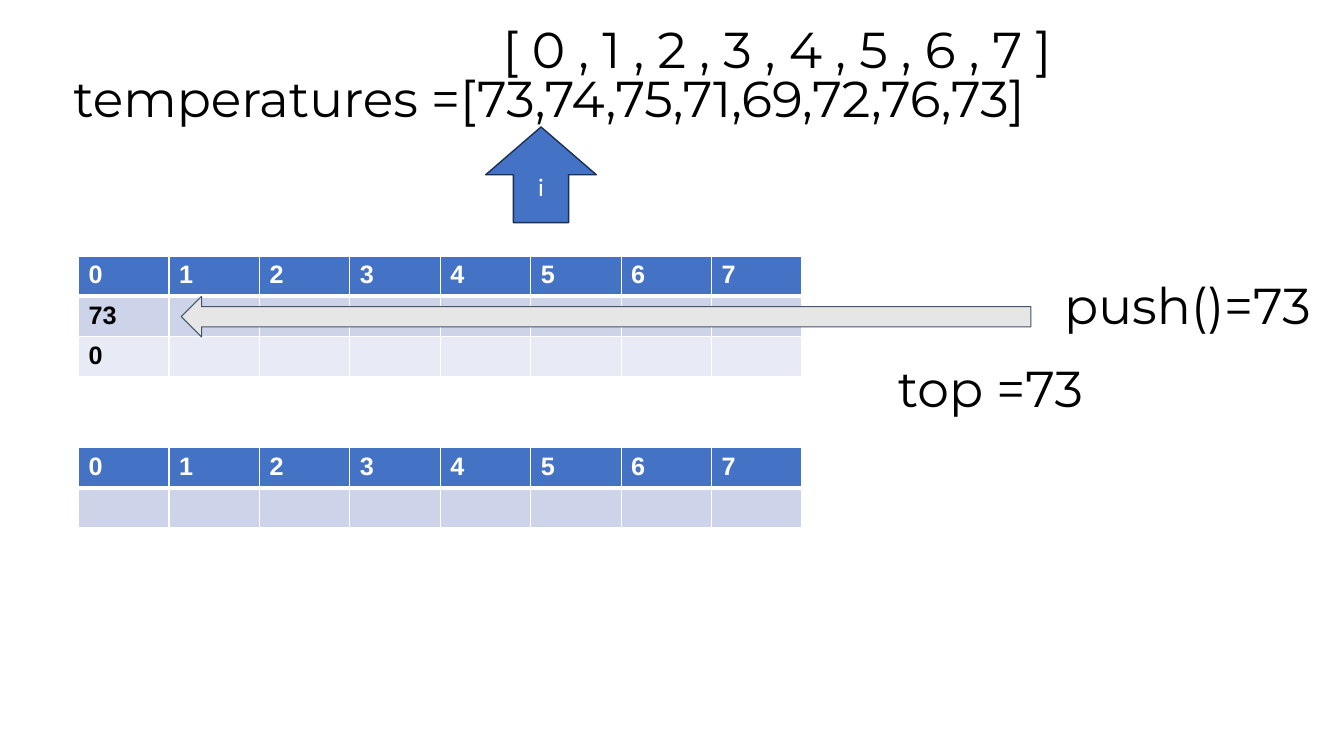
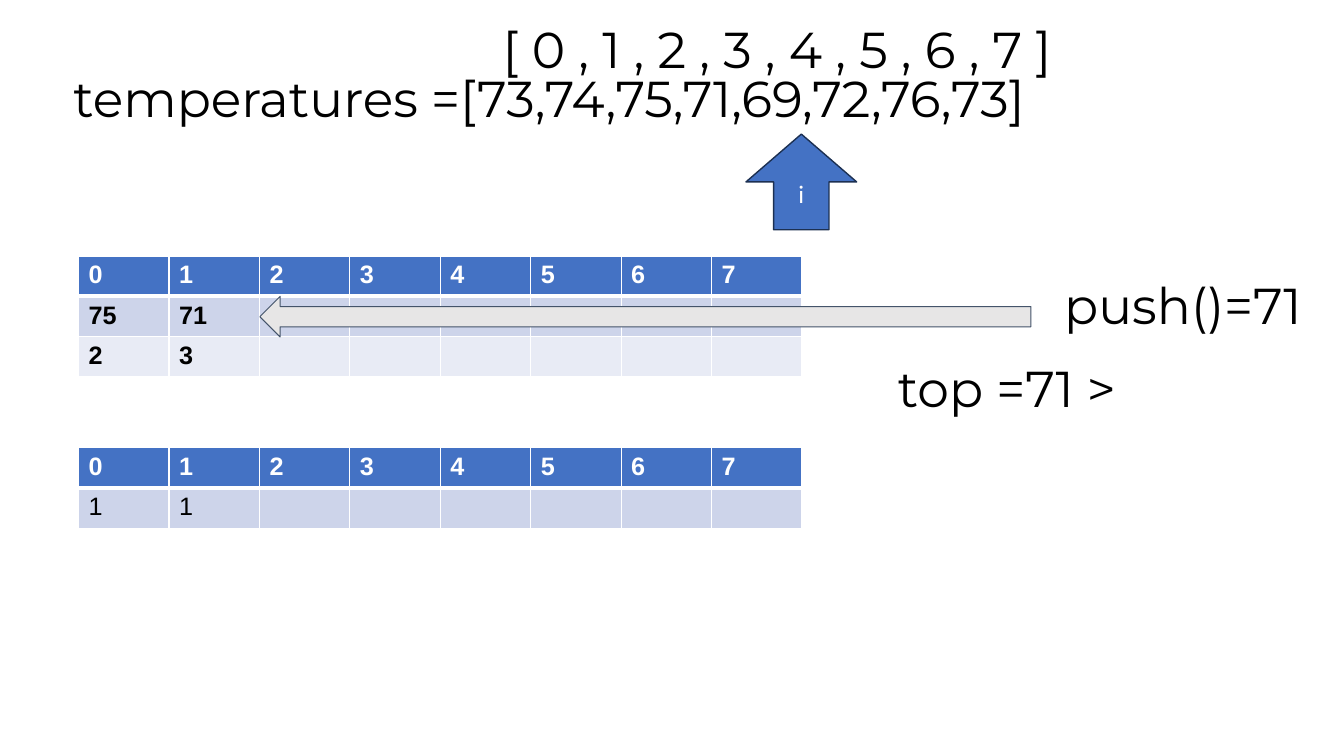
from lxml.etree import SubElement
from pptx import Presentation
from pptx.dml.color import RGBColor
from pptx.enum.shapes import MSO_SHAPE
from pptx.enum.text import MSO_ANCHOR, PP_ALIGN
from pptx.oxml.ns import qn
from pptx.util import Cm, Pt

COLUMNS = 8
LEFT = 1.98
COL_W, ROW_H = 2.28, 0.99
PUSH_TAIL = 25.98


def rgb(value):
    """Turn a hex string into a colour."""
    return RGBColor.from_string(value)


def write(tf, text, font="Montserrat", size=36, color="000000", bold=False,
          align=PP_ALIGN.LEFT, spacing=None):
    """Write one formatted line into a text frame."""
    p = tf.paragraphs[0]
    p.alignment = align
    p.line_spacing = spacing
    r = p.add_run()
    r.text = text
    r.font.name = font
    r.font.size = Pt(size)
    r.font.bold = bold
    r.font.color.rgb = rgb(color)


class Deck:
    """Hold the style and the current slide."""

    BLUE, BLUE_EDGE = "4472C4", "1C3052"
    GRAY, GRAY_EDGE = "E7E6E6", "44546A"
    WHITE, BLACK = "FFFFFF", "000000"
    BANDS = ("CDD4EA", "E8EBF5")

    def __init__(self):
        """Start a widescreen presentation."""
        self.prs = Presentation()
        self.prs.slide_width = Cm(33.87)
        self.prs.slide_height = Cm(19.05)

    def new_slide(self):
        """Add a blank slide and make it current."""
        self.s = self.prs.slides.add_slide(self.prs.slide_layouts[6])

    def label(self, text, x, y, w, h, inset=0.25, anchor=MSO_ANCHOR.TOP):
        """Add a large line of text."""
        tf = self.s.shapes.add_textbox(Cm(x), Cm(y), Cm(w), Cm(h)).text_frame
        tf.word_wrap = True
        tf.vertical_anchor = anchor
        tf.margin_top = tf.margin_bottom = Cm(inset)
        write(tf, text, spacing=0.9)

    def arrow(self, kind, x, y, w, h, fill, line, width):
        """Add a block arrow."""
        sp = self.s.shapes.add_shape(kind, Cm(x), Cm(y), Cm(w), Cm(h))
        sp.shadow.inherit = False
        sp.fill.solid()
        sp.fill.fore_color.rgb = rgb(fill)
        sp.line.color.rgb = rgb(line)
        sp.line.width = Pt(width)
        return sp

    def pointer(self, x, y):
        """Add the upward arrow of index i."""
        sp = self.arrow(MSO_SHAPE.UP_ARROW, x, y, 2.79, 2.41,
                        self.BLUE, self.BLUE_EDGE, 1)
        sp.text_frame.vertical_anchor = MSO_ANCHOR.MIDDLE
        write(sp.text_frame, "i", font="Calibri", size=18, color=self.WHITE,
              align=PP_ALIGN.CENTER)

    def push_arrow(self, tip):
        """Add the arrow that runs from the push label to the stack."""
        self.arrow(MSO_SHAPE.LEFT_ARROW, tip, 7.47, PUSH_TAIL - tip, 1.02,
                   self.GRAY, self.GRAY_EDGE, 0.75)

    def border(self, cell, **widths):
        """Draw white cell borders with the given widths in points."""
        tc_pr = cell._tc.get_or_add_tcPr()
        for side in "LRTB":
            ln = SubElement(tc_pr, qn(f"a:ln{side}"),
                            w=str(Pt(widths.get(side, 1))))
            fill = SubElement(ln, qn("a:solidFill"))
            SubElement(fill, qn("a:srgbClr"), val=self.WHITE)

    def table(self, y, rows, bold):
        """Add a table with an index header above the given rows."""
        grid = [[str(i) for i in range(COLUMNS)], *rows]
        table = self.s.shapes.add_table(
            len(grid), COLUMNS, Cm(LEFT), Cm(y),
            Cm(COL_W * COLUMNS), Cm(ROW_H * len(grid))).table
        for column in table.columns:
            column.width = Cm(COL_W)
        for i, values in enumerate(grid):
            table.rows[i].height = Cm(ROW_H)
            header = i == 0
            for j in range(COLUMNS):
                cell = table.cell(i, j)
                self.border(cell, B=3 if header else 1, T=3 if i == 1 else 1)
                cell.fill.solid()
                cell.fill.fore_color.rgb = rgb(
                    self.BLUE if header else self.BANDS[(i - 1) % 2])
                if j < len(values):
                    write(cell.text_frame, values[j], font="Arial", size=18,
                          color=self.WHITE if header else self.BLACK,
                          bold=header or bold)
                else:
                    cell.margin_bottom = 0

    def step(self, pointer, stack, answer, tip, top, push):
        """Build the slide for one step of the algorithm."""
        self.new_slide()
        self.label("temperatures =[73,74,75,71,69,72,76,73]",
                   1.6, 0.71, 29.67, 3.68, 0.13, MSO_ANCHOR.MIDDLE)
        self.table(6.45, stack, bold=True)
        self.pointer(*pointer)
        self.table(11.28, [answer], bold=False)
        self.push_arrow(tip)
        self.label(top, 22.38, 8.92, 8.33, 1.9)
        self.label(push, 26.57, 6.83, 7.3, 1.9)
        self.label("[ 0 , 1 , 2 , 3 , 4 , 5 , 6 , 7 ]", 12.42, 0.38, 20.9, 1.45)


def main():
    """Build and save the slides."""
    deck = Deck()
    deck.step(pointer=(12.24, 3.2), stack=[["73"], ["0"]], answer=[],
              tip=4.57, top="top =73", push="push()=73")
    deck.step(pointer=(18.8, 3.38), stack=[["75", "71"], ["2", "3"]],
              answer=["1", "1"], tip=6.55, top="top =71 >", push="push()=71")
    deck.prs.save("out.pptx")


if __name__ == "__main__":
    main()
